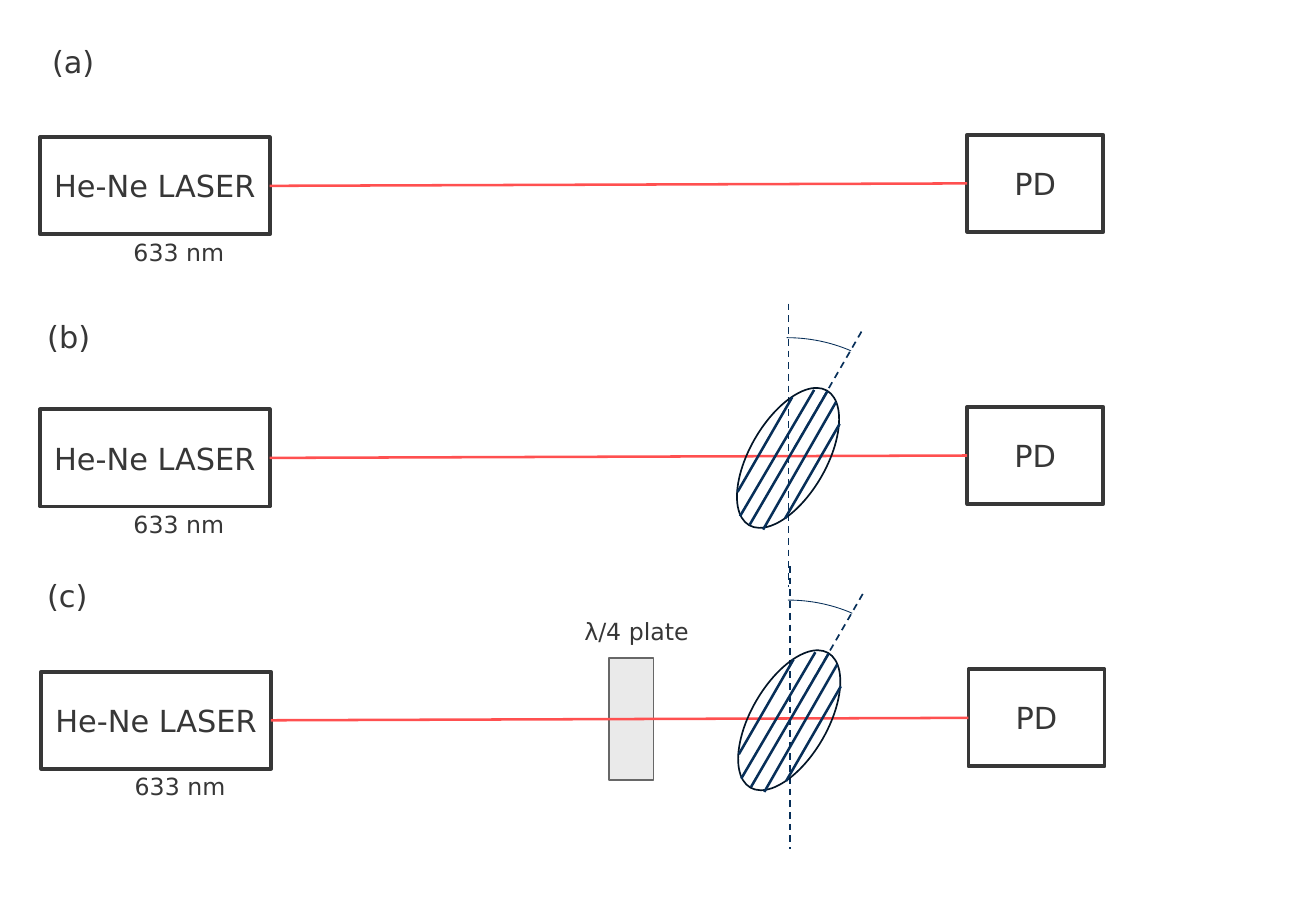
from pptx import Presentation
from pptx.dml.color import RGBColor
from pptx.enum import dml, shapes, text
from pptx.oxml.ns import qn
from pptx.util import Pt

C = {"ink": "373737", "beam": "FF5050", "axis": "072F59", "rim": "031527",
     "plate": "EAEAEA", "edge": "676767"}
KIND = shapes.MSO_SHAPE

prs = Presentation()
prs.slide_width, prs.slide_height = Pt(779.76), Pt(540)
s = prs.slides.add_slide(prs.slide_layouts[6])


def add_item(x, y, w, h, label="", size=18, kind=None, line="ink", width=2.25):
    """A text box, or an outlined shape when a kind is given."""
    box = [Pt(v) for v in (x, y, w, h)]
    sp = s.shapes.add_shape(kind, *box) if kind else s.shapes.add_textbox(*box)
    tf = sp.text_frame
    p = tf.paragraphs[0]
    if kind:
        sp.shadow.inherit = False
        sp.fill.background()
        sp.line.color.rgb = RGBColor.from_string(C[line])
        sp.line.width = Pt(width)
        tf.vertical_anchor = text.MSO_ANCHOR.MIDDLE
        p.alignment = text.PP_ALIGN.CENTER
    else:
        tf.word_wrap = False
        tf.auto_size = text.MSO_AUTO_SIZE.SHAPE_TO_FIT_TEXT
    if label:
        r = p.add_run()
        r.text = label
        for key, value in {"name": "DejaVu Sans", "size": Pt(size)}.items():
            setattr(r.font, key, value)
        r.font.color.rgb = RGBColor.from_string(C["ink"])
    return sp


def add_line(x1, y1, x2, y2, color, width, dashed=False):
    ln = s.shapes.add_connector(shapes.MSO_CONNECTOR.STRAIGHT,
                                *[Pt(v) for v in (x1, y1, x2, y2)])
    ln.line.color.rgb = RGBColor.from_string(C[color])
    ln.line.width = Pt(width)
    if dashed:
        ln.line.dash_style = dml.MSO_LINE.DASH
    sppr = ln._element.spPr
    sppr.append(sppr.makeelement(qn("a:effectLst"), {}))


# Setups: label, label position and width, laser corner, polarizer?, plate?
setups = [
    ("(a)", 23.76, 22.32, 41.76, 23.76, 81.36, False, False),
    ("(b)", 20.88, 185.04, 42.48, 23.76, 242.64, True, False),
    ("(c)", 20.88, 338.4, 40.32, 24.48, 398.16, True, True),
]
# Polarizer stripes, measured from the laser corner
stripes = [
    (445.68, -7.2, 413.28, 48.96),
    (466.56, -10.8, 420.48, 68.4),
    (473.76, 8.64, 441.36, 64.8),
    (471.6, -4.32, 428.4, 71.28),
    (458.64, -11.52, 414.72, 63.36),
]

for label, lx, ly, lw, x, y, has_polarizer, has_plate in setups:
    # Quarter-wave plate, behind the beam
    if has_plate:
        plate = add_item(x + 336.24, y - 7.92, 26.64, 72, kind=KIND.RECTANGLE,
                         line="edge", width=1)
        plate.fill.solid()
        plate.fill.fore_color.rgb = RGBColor.from_string(C["plate"])
        add_item(x + 314.64, y - 36, 78.48, 24.48, "λ/4 plate", 14)

    # Vertical reference axis
    if has_polarizer:
        add_line(x + 443.52, y - 62.64, x + 443.52, y + 105.12, "axis", 1, True)

    # Laser, detector and beam
    add_item(x, y, 136.08, 57.6, "He-Ne LASER", kind=KIND.RECTANGLE)
    add_item(x + 549.36, y - 1.44, 80.64, 57.6, "PD", kind=KIND.RECTANGLE)
    add_line(x + 136.08, y + 28.8, x + 549.36, y + 27.36, "beam", 1.5)
    add_item(x + 48.24, y + 56.16, 87.84, 30.96, "633 nm", 14)
    add_item(lx, ly, lw, 28.8, label)

    # Polarizer: angle arc, tilted axis, rim and stripes
    if has_polarizer:
        arc = add_item(x + 360.72, y - 42.48, 163.44, 135.36, kind=KIND.ARC,
                       line="axis", width=0.5)
        arc.adjustments[0], arc.adjustments[1] = 162, 181.49
        add_line(x + 486.72, y - 46.08, x + 444.24, y + 27.36, "axis", 1, True)
        rim = add_item(x + 420.48, y - 17.28, 45.36, 92.16, kind=KIND.OVAL,
                       line="rim", width=1)
        rim.rotation = 30
        for x1, y1, x2, y2 in stripes:
            add_line(x + x1, y + y1, x + x2, y + y2, "axis", 1.5)

prs.save("out.pptx")
